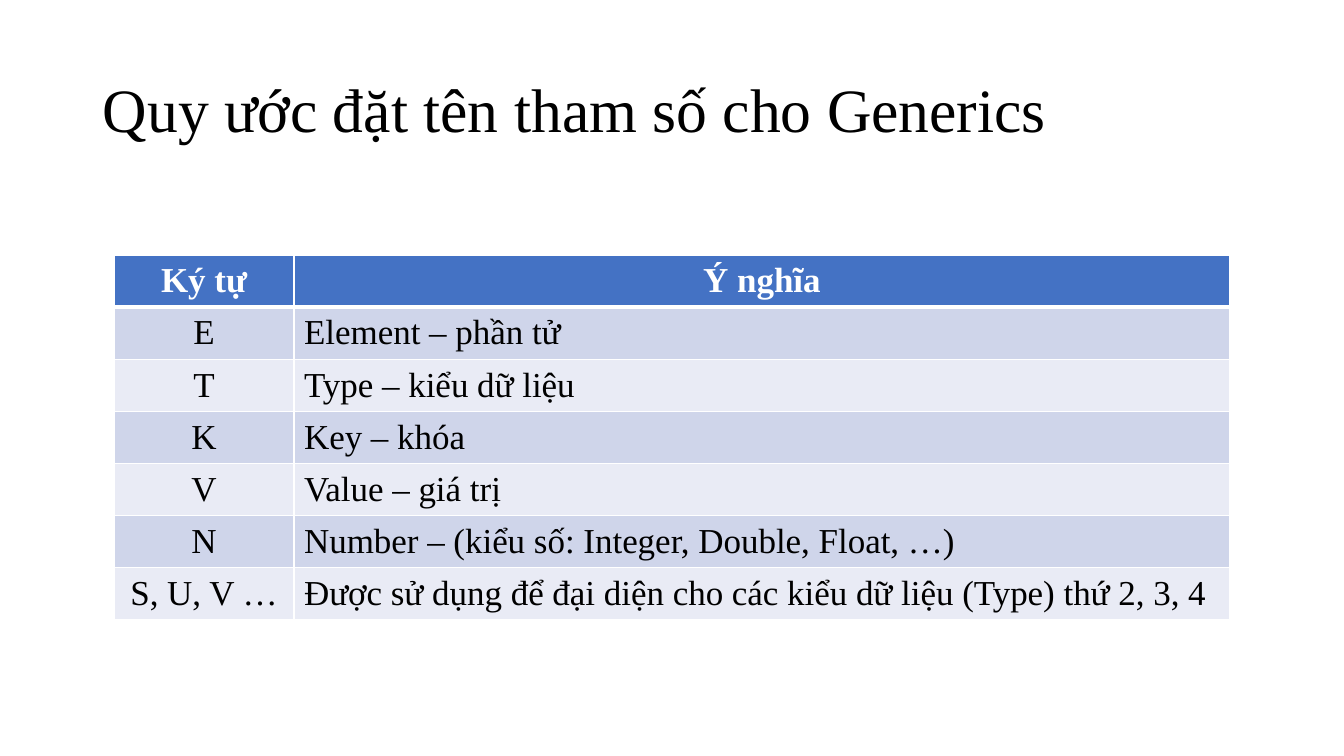
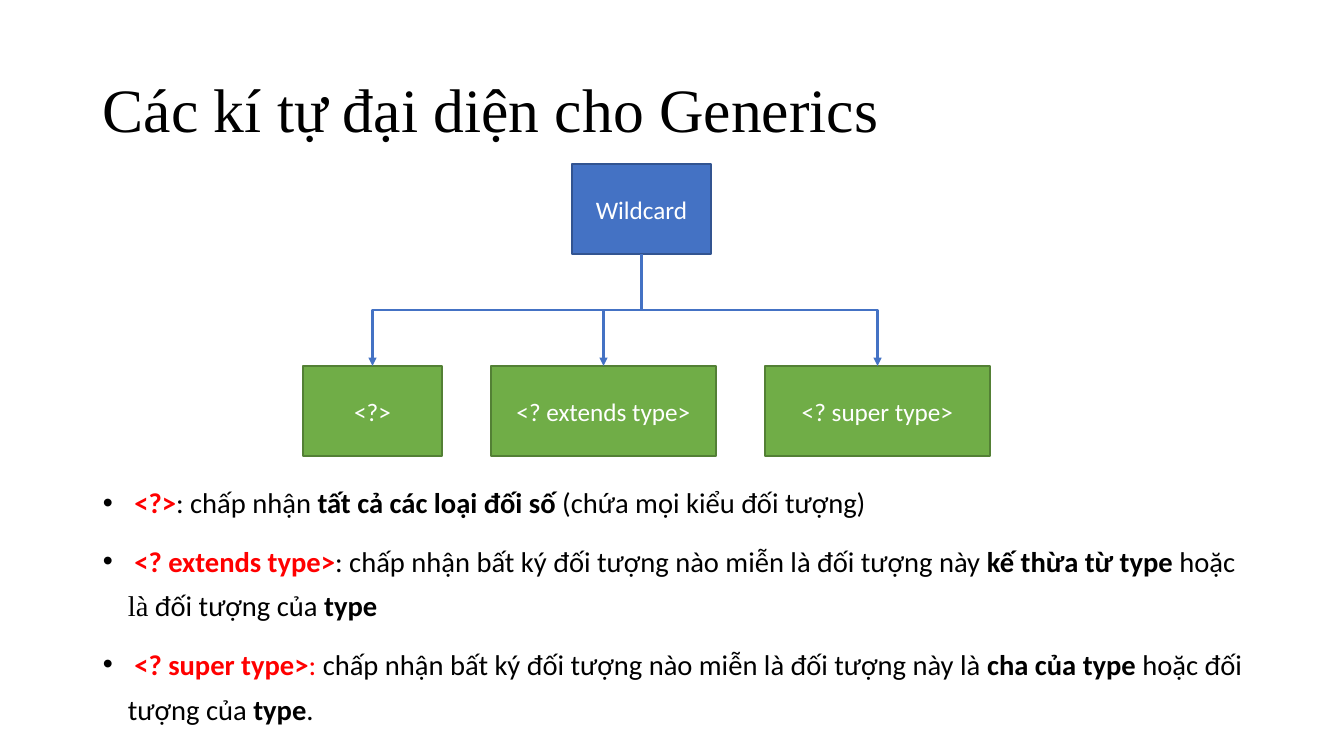
from lxml import etree
from pptx import Presentation
from pptx.dml.color import RGBColor
from pptx.enum.shapes import MSO_CONNECTOR, MSO_SHAPE
from pptx.enum.text import MSO_ANCHOR, PP_ALIGN
from pptx.oxml.ns import qn
from pptx.util import Pt

SCALE = 914400 / 100.8
COLORS = {
    "white": "FFFFFF", "black": "000000", "red": "FF0000",
    "blue": "4472C4", "blue edge": "325491",
    "green": "70AD47", "green edge": "538035",
    "band dark": "CFD5EA", "band light": "E9EBF5",
}
SERIF, SANS = "Times New Roman", "Calibri"
FORMATS = {
    "title": {"size": Pt(44), "name": SERIF},
    "header": {"size": Pt(25), "name": SERIF, "bold": True},
    "cell": {"size": Pt(25), "name": SERIF, "bold": False},
    "box": {"size": Pt(18), "name": SANS},
    "plain": {"size": Pt(20.4), "name": SANS, "bold": False},
    "strong": {"size": Pt(20.4), "name": SANS, "bold": True},
    "serif": {"size": Pt(20.4), "name": SERIF, "bold": False},
}


def px(*lengths):
    return [round(length * SCALE) for length in lengths]


def add_run(paragraph, text, style, color="black"):
    run = paragraph.add_run()
    run.text = text
    for attribute, value in FORMATS[style].items():
        setattr(run.font, attribute, value)
    run.font.color.rgb = RGBColor.from_string(COLORS[color])


presentation = Presentation()
presentation.slide_width, presentation.slide_height = px(1344, 756)

# Slides and their titles
slides = []
for title in ("Quy ước đặt tên tham số cho Generics",
              "Các kí tự đại diện cho Generics"):
    slide = presentation.slides.add_slide(presentation.slide_layouts[6])
    frame = slide.shapes.add_textbox(*px(93, 40, 1159, 146)).text_frame
    frame.word_wrap = True
    frame.vertical_anchor = MSO_ANCHOR.MIDDLE
    frame.paragraphs[0].line_spacing = 0.9
    add_run(frame.paragraphs[0], title, "title")
    slides.append(slide)
naming_slide, wildcard_slide = slides

# Table of naming conventions
rows = [
    ("Ký tự", "Ý nghĩa"),
    ("E", "Element – phần tử"),
    ("T", "Type – kiểu dữ liệu"),
    ("K", "Key – khóa"),
    ("V", "Value – giá trị"),
    ("N", "Number – (kiểu số: Integer, Double, Float, …)"),
    ("S, U, V …", "Được sử dụng để đại diện cho các kiểu dữ liệu (Type) thứ 2, 3, 4"),
]
column_widths = (180, 936)
row_height = 48
table = naming_slide.shapes.add_table(
    len(rows), len(column_widths),
    *px(114, 255, sum(column_widths), row_height * len(rows))).table
for column, width in zip(table.columns, px(*column_widths)):
    column.width = width
for row_index, row in enumerate(rows):
    is_header = row_index == 0
    band = "blue" if is_header else ("band light", "band dark")[row_index % 2]
    for column_index, text in enumerate(row):
        cell = table.cell(row_index, column_index)
        cell.vertical_anchor = MSO_ANCHOR.MIDDLE
        paragraph = cell.text_frame.paragraphs[0]
        if is_header or column_index == 0:
            paragraph.alignment = PP_ALIGN.CENTER
        add_run(paragraph, text, "header" if is_header else "cell",
                "white" if is_header else "black")
        # White borders, thicker under the header
        properties = cell._tc.get_or_add_tcPr()
        for side in ("lnL", "lnR", "lnT", "lnB"):
            thick = (row_index, side) in ((0, "lnB"), (1, "lnT"))
            border = etree.SubElement(properties, qn("a:" + side),
                                      w=str(Pt(3 if thick else 1)))
            fill = etree.SubElement(border, qn("a:solidFill"))
            etree.SubElement(fill, qn("a:srgbClr"), val=COLORS["white"])
        cell.fill.solid()
        cell.fill.fore_color.rgb = RGBColor.from_string(COLORS[band])

# Explanations of the wildcards
explanations = [
    [("\u00a0", "strong"), ("<?>", "strong", "red"), (": chấp nhận ", "plain"),
     ("tất cả các loại đối số", "strong"),
     (" (chứa mọi kiểu đối tượng)", "plain")],
    [("\u00a0", "strong"), ("<? extends type>", "strong", "red"),
     (": chấp nhận bất ký đối tượng nào miễn là đối tượng này ", "plain"),
     ("kế thừa từ type", "strong"), (" hoặc ", "plain"), ("là", "serif"),
     (" đối tượng của ", "plain"), ("type", "strong")],
    [("\u00a0", "strong"), ("<? super type>", "strong", "red"),
     (": ", "plain", "red"),
     ("chấp nhận bất ký đối tượng nào miễn là đối tượng này là ", "plain"),
     ("cha của type", "strong"), (" hoặc đối tượng của ", "plain"),
     ("type", "strong"), (".", "plain")],
]
indent = px(25)[0]
frame = wildcard_slide.shapes.add_textbox(*px(93, 470, 1159, 264)).text_frame
frame.word_wrap = True
for index, runs in enumerate(explanations):
    paragraph = frame.add_paragraph() if index else frame.paragraphs[0]
    paragraph.line_spacing = 1.3
    paragraph.space_before = Pt(10)
    properties = paragraph._p.get_or_add_pPr()
    properties.set("marL", str(indent))
    properties.set("indent", str(-indent))
    etree.SubElement(properties, qn("a:buFont"), typeface="Arial")
    etree.SubElement(properties, qn("a:buChar"), char="•")
    for run in runs:
        add_run(paragraph, *run)

# Wildcard tree: left, top, width, colour, text
box_height = 90
parent_top, child_top = 164, 366
boxes = [
    (303, child_top, 139, "green", "<?>"),
    (491, child_top, 225, "green", "<? extends type>"),
    (765, child_top, 225, "green", "<? super type>"),
    (572, parent_top, 139, "blue", "Wildcard"),
]
for left, top, width, color, text in boxes:
    shape = wildcard_slide.shapes.add_shape(
        MSO_SHAPE.RECTANGLE, *px(left, top, width, box_height))
    shape.shadow.inherit = False
    shape.fill.solid()
    shape.fill.fore_color.rgb = RGBColor.from_string(COLORS[color])
    shape.line.color.rgb = RGBColor.from_string(COLORS[color + " edge"])
    shape.line.width = Pt(1)
    shape.text_frame.vertical_anchor = MSO_ANCHOR.MIDDLE
    paragraph = shape.text_frame.paragraphs[0]
    paragraph.alignment = PP_ALIGN.CENTER
    add_run(paragraph, text, "box", "white")

# Elbow arrows, turned so that they leave the parent downwards
*children, parent = boxes
start_x, start_y = parent[0] + parent[2] / 2, parent_top + box_height
drop = child_top - start_y
for left, top, width, color, text in children:
    end_x = left + width / 2
    center_x, center_y = (start_x + end_x) / 2, start_y + drop / 2
    side = 1 if end_x < start_x else -1
    half_drop, half_span = side * drop / 2, abs(end_x - start_x) / 2
    connector = wildcard_slide.shapes.add_connector(
        MSO_CONNECTOR.ELBOW,
        *px(center_x - half_drop, center_y - half_span,
            center_x + half_drop, center_y + half_span))
    connector.rotation = 90 if side == 1 else 270
    connector.line.color.rgb = RGBColor.from_string(COLORS["blue"])
    connector.line.width = Pt(1.5)
    etree.SubElement(connector.line._get_or_add_ln(), qn("a:tailEnd"), type="triangle")
    etree.SubElement(connector._element.spPr, qn("a:effectLst"))

presentation.save("out.pptx")
